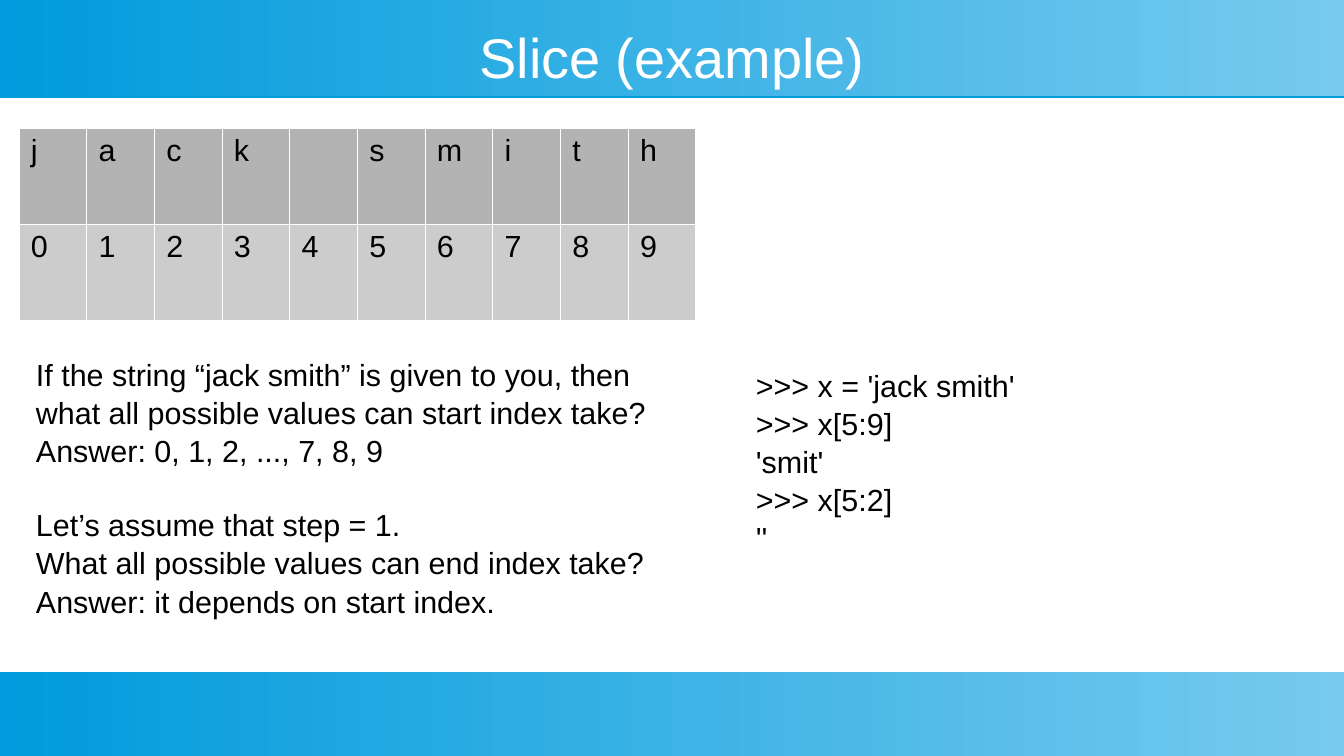
from dataclasses import dataclass

from lxml import etree
from pptx import Presentation
from pptx import util as u
from pptx.dml.color import RGBColor
from pptx.enum import shapes, text
from pptx.oxml import ns

FONT = "Arial"
BODY_SIZE = 18
LINE_SPACING = 1.04
BLACK = RGBColor(0x00, 0x00, 0x00)
WHITE = RGBColor(0xFF, 0xFF, 0xFF)
DEEP_BLUE = RGBColor(0x00, 0x9B, 0xDD)
LIGHT_BLUE = RGBColor(0x77, 0xCA, 0xEE)
LETTER_GRAY = RGBColor(0xB3, 0xB3, 0xB3)
INDEX_GRAY = RGBColor(0xCC, 0xCC, 0xCC)
SLIDE_WIDTH, SLIDE_HEIGHT = u.Cm(28), u.Cm(15.75)


@dataclass
class Band:
    top: float
    height: float


@dataclass
class TextBlock:
    left: float
    top: float
    width: float
    height: float
    lines: list[str]
    gap_before: int | None = None  # index of the line that opens a new group


BANDS = [Band(0, 2.01), Band(14, 1.75)]
WORD = "jack smith"
BLOCKS = [
    TextBlock(0.5, 7.26, 13.5, 5.23, [
        "If the string “jack smith” is given to you, then what all possible "
        "values can start index take?",
        "Answer: 0, 1, 2, ..., 7, 8, 9",
        "Let’s assume that step = 1.",
        "What all possible values can end index take?",
        "Answer: it depends on start index.",
    ], gap_before=2),
    TextBlock(15.5, 7.5, 6.5, 4.52, [
        ">>> x = 'jack smith'", ">>> x[5:9]", "'smit'", ">>> x[5:2]", "''",
    ]),
]


def format_runs(paragraph, size: float, color: RGBColor) -> None:
    for run in paragraph.runs:
        run.font.name = FONT
        run.font.size = u.Pt(size)
        run.font.color.rgb = color


def add_band(slide, band: Band) -> None:
    shape = slide.shapes.add_shape(
        shapes.MSO_SHAPE.RECTANGLE, 0, u.Cm(band.top), SLIDE_WIDTH, u.Cm(band.height))
    shape.line.fill.background()
    shape.fill.gradient()
    shape.fill.gradient_angle = 0
    for stop, color in zip(shape.fill.gradient_stops, (DEEP_BLUE, LIGHT_BLUE)):
        stop.color.rgb = color
    # Hard blue edge under the band
    shape.shadow.inherit = False
    effects = shape.element.spPr.find(ns.qn("a:effectLst"))
    shadow = etree.SubElement(effects, ns.qn("a:outerShdw"), blurRad="0",
                              dist=str(u.Pt(0.9)), dir="5400000", rotWithShape="0")
    etree.SubElement(shadow, ns.qn("a:srgbClr"), val=str(DEEP_BLUE))


def set_borders(cell, color: RGBColor, width: float) -> None:
    properties = cell._tc.get_or_add_tcPr()
    for position, side in enumerate(("lnL", "lnR", "lnT", "lnB")):
        line = etree.Element(ns.qn(f"a:{side}"), w=str(u.Pt(width)))
        fill = etree.SubElement(line, ns.qn("a:solidFill"))
        etree.SubElement(fill, ns.qn("a:srgbClr"), val=str(color))
        properties.insert(position, line)


def add_index_table(slide, word: str) -> None:
    rows = [(word, LETTER_GRAY), (range(len(word)), INDEX_GRAY)]
    table = slide.shapes.add_table(len(rows), len(word), u.Cm(0.39), u.Cm(2.66),
                                   u.Cm(14.1), u.Cm(4)).table
    table.first_row = table.horz_banding = False
    for row, (values, color) in enumerate(rows):
        for column, value in enumerate(values):
            cell = table.cell(row, column)
            cell.fill.solid()
            cell.fill.fore_color.rgb = color
            set_borders(cell, WHITE, 0.06)
            cell.text_frame.text = str(value).strip()
            format_runs(cell.text_frame.paragraphs[0], BODY_SIZE, BLACK)


def add_text_block(slide, block: TextBlock) -> None:
    box = slide.shapes.add_textbox(u.Cm(block.left), u.Cm(block.top),
                                   u.Cm(block.width), u.Cm(block.height))
    frame = box.text_frame
    frame.word_wrap = True
    frame.text = "\n".join(block.lines)
    for index, paragraph in enumerate(frame.paragraphs):
        paragraph.line_spacing = LINE_SPACING
        if index == block.gap_before:
            paragraph.space_before = u.Pt(21.6)
        format_runs(paragraph, BODY_SIZE, BLACK)


def format_title(slide, wording: str) -> None:
    title = slide.shapes.title
    title.left, title.top = u.Cm(1), u.Cm(0.5)
    title.width, title.height = u.Cm(26), u.Cm(1.32)
    frame = title.text_frame
    frame.margin_left = frame.margin_right = frame.margin_top = frame.margin_bottom = 0
    frame.vertical_anchor = text.MSO_ANCHOR.MIDDLE
    frame.auto_size = text.MSO_AUTO_SIZE.NONE
    frame.text = wording
    frame.paragraphs[0].alignment = text.PP_ALIGN.CENTER
    format_runs(frame.paragraphs[0], 33, WHITE)
    # Bring the title in front of the bands
    title.element.getparent().append(title.element)


def main() -> None:
    presentation = Presentation()
    presentation.slide_width, presentation.slide_height = SLIDE_WIDTH, SLIDE_HEIGHT
    slide = presentation.slides.add_slide(presentation.slide_layouts[5])

    # Header and footer
    for band in BANDS:
        add_band(slide, band)
    format_title(slide, "Slice (example)")

    # Letters with their indexes, then explanation and code
    add_index_table(slide, WORD)
    for block in BLOCKS:
        add_text_block(slide, block)

    presentation.save("out.pptx")


if __name__ == "__main__":
    main()
